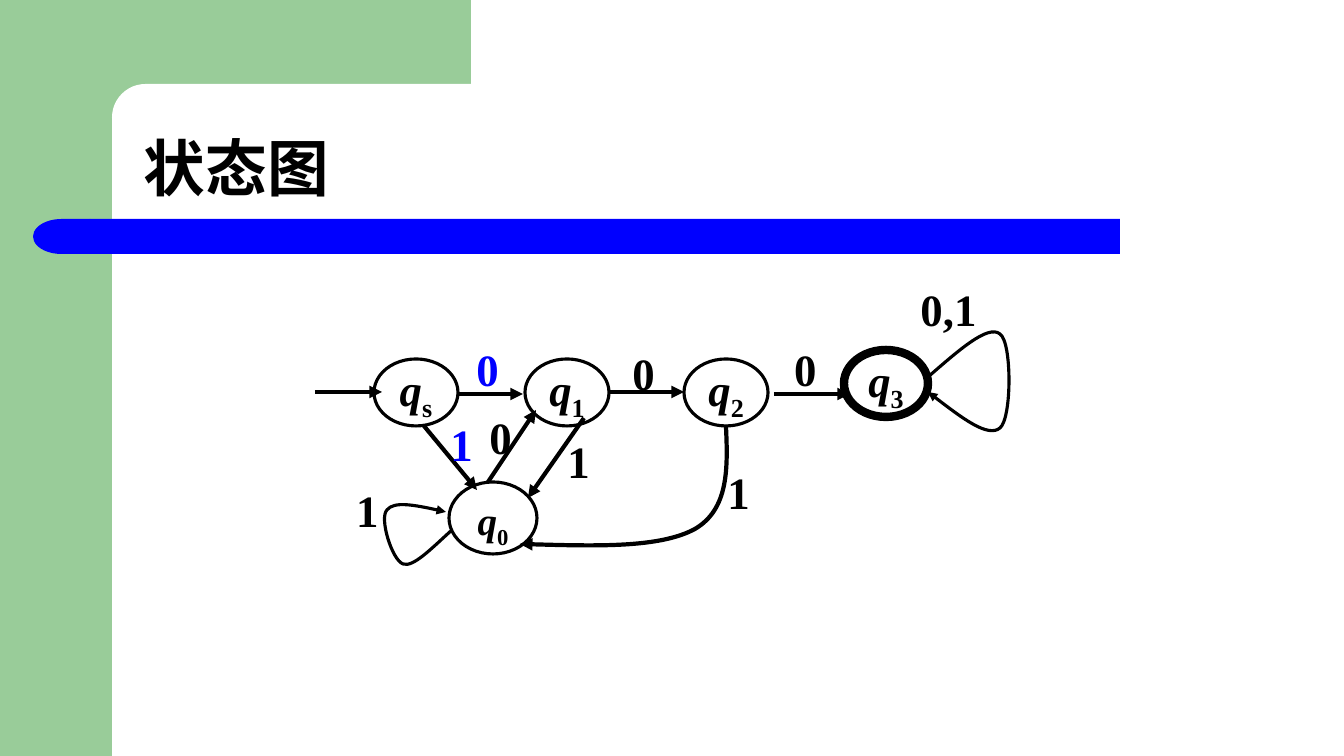
from dataclasses import dataclass

from pptx import Presentation
from pptx.dml.color import RGBColor as Rgb
from pptx.enum.shapes import MSO_CONNECTOR as Link, MSO_SHAPE as Kind
from pptx.enum.text import MSO_ANCHOR as Anchor, PP_ALIGN as Align
from pptx.oxml.ns import qn
from pptx.util import Emu, Pt
from lxml.etree import SubElement as Sub

SCALE = 914400 / 100.8


@dataclass(frozen=True)
class Theme:
    font: str = "Times New Roman"
    black: str = "000000"
    white: str = "FFFFFF"
    green: str = "99CC99"
    blue: str = "0000FF"
    title: int = 44
    body: int = 32
    small: int = 28
    thin: float = 2.25
    mid: int = 3
    thick: int = 6


T = Theme()


def px(*nums):
    return [Emu(round(n * SCALE)) for n in nums]


def write(frame, *parts, size=T.body, color=T.black, align=Align.CENTER,
          anchor=Anchor.MIDDLE, wrap=True, inset=None, lead=None, hang=0):
    """Write bold parts in one paragraph; a part is text or (text, style)."""
    frame.word_wrap = wrap
    frame.vertical_anchor = anchor
    if inset is not None:
        frame.margin_left = frame.margin_right = inset
        frame.margin_top = frame.margin_bottom = inset
    para = frame.paragraphs[0]
    para.alignment = align
    if lead:
        para.line_spacing = lead
    if hang:
        props = para._p.get_or_add_pPr()
        step = px(hang)[0]
        props.set("marL", str(step))
        props.set("indent", str(-step))
    for part in parts:
        text, style = (part, "") if isinstance(part, str) else part
        run = para.add_run()
        run.text = text
        font = run.font
        font.name, font.size, font.bold = T.font, Pt(size), True
        font.italic = style == "italic"
        font.color.rgb = Rgb.from_string(color)
        if style == "sub":
            run._r.get_or_add_rPr().set("baseline", "-25000")


def stroke(item, width, arrow=False):
    item.line.color.rgb = Rgb.from_string(T.black)
    item.line.width = Pt(width)
    if arrow:
        line = item._element.spPr.find(qn("a:ln"))
        Sub(line, qn("a:tailEnd"), type="triangle")


def block(slide, kind, box, color):
    item = slide.shapes.add_shape(kind, *px(*box))
    item.shadow.inherit = False
    item.fill.solid()
    item.fill.fore_color.rgb = Rgb.from_string(color)
    item.line.fill.background()
    return item


def label(slide, text, box, **form):
    item = slide.shapes.add_textbox(*px(*box))
    write(item.text_frame, text, **form)


def state(slide, sub, box, width=T.thin, **form):
    item = slide.shapes.add_shape(Kind.OVAL, *px(*box))
    item.shadow.inherit = False
    item.fill.background()
    stroke(item, width)
    write(item.text_frame, ("q", "italic"), (sub, "sub"), **form)


def arrow(slide, *ends):
    item = slide.shapes.add_connector(Link.STRAIGHT, *px(*ends))
    stroke(item, T.mid, arrow=True)
    Sub(item._element.spPr, qn("a:effectLst"))


def curve(slide, start, points, width):
    """Draw an arrow of cubic curves, each given by three points."""
    form = slide.shapes.build_freeform(*start, scale=SCALE)
    form.add_line_segments(points, close=False)
    item = form.convert_to_shape()
    item.shadow.inherit = False
    item.fill.background()
    stroke(item, width, arrow=True)
    steps = list(item._element.iter(qn("a:lnTo")))
    for i in range(0, len(steps), 3):
        trio = steps[i:i + 3]
        trio[0].tag = qn("a:cubicBezTo")
        for step in trio[1:]:
            trio[0].append(step[0])
            step.getparent().remove(step)


def frame(slide):
    block(slide, Kind.RECTANGLE, (0, 0, 112, 756), T.green)
    block(slide, Kind.RECTANGLE, (101, 0, 370, 118), T.green)
    panel = block(slide, Kind.ROUNDED_RECTANGLE, (112, 84, 750, 67), T.white)
    panel.adjustments[0] = 0.5
    block(slide, Kind.RECTANGLE, (90, 219, 1030, 35), T.blue)
    cap = block(slide, Kind.FLOWCHART_DELAY, (33, 219, 57, 35), T.blue)
    cap.rotation = 180
    label(slide, "状态图", (134, 84, 1176, 126), size=T.title,
          align=Align.LEFT, anchor=Anchor.BOTTOM, lead=0.9)


def graph(slide):
    for sub, x, y, width in (("s", 374, 359, T.thin), ("1", 525, 359, T.thin),
                             ("2", 684, 359, T.thin), ("3", 844, 350, T.thick)):
        state(slide, sub, (x, y, 84, 67), width, wrap=False)
    state(slide, "0", (449, 482, 88, 72), size=T.small,
          anchor=Anchor.TOP, lead=0.9, hang=38)

    for ends in ((315, 392, 382, 392), (457, 394, 523, 394),
                 (609, 392, 684, 392), (774, 394, 850, 394),
                 (424, 426, 477, 490), (488, 482, 536, 410),
                 (584, 418, 528, 498)):
        arrow(slide, *ends)

    curve(slide, (452, 530),
          [(432, 548), (413, 568), (403, 564), (392, 560), (379, 518),
           (387, 510), (394, 501), (420, 506), (446, 512)], T.thin)
    curve(slide, (928, 377),
          [(958, 351), (988, 324), (1000, 334), (1012, 342), (1012, 418),
           (1000, 428), (988, 438), (958, 415), (928, 392)], T.thin)
    curve(slide, (726, 425),
          [(728, 468), (729, 509), (695, 529), (660, 548), (590, 546),
           (520, 544)], T.mid)

    for text, x, y, color in (
            ("0", 475, 342, T.blue), ("1", 449, 417, T.blue),
            ("0", 631, 346, T.black), ("0", 793, 342, T.black),
            ("0", 488, 410, T.black), ("1", 566, 434, T.black),
            ("1", 726, 465, T.black), ("1", 355, 483, T.black),
            ("0,1", 911, 282, T.black)):
        label(slide, text, (x, y, 25 * len(text), 54), color=color, inset=0)


def main():
    deck = Presentation()
    deck.slide_width, deck.slide_height = px(1344, 756)
    slide = deck.slides.add_slide(deck.slide_layouts[6])
    frame(slide)
    graph(slide)
    deck.save("out.pptx")


if __name__ == "__main__":
    main()
